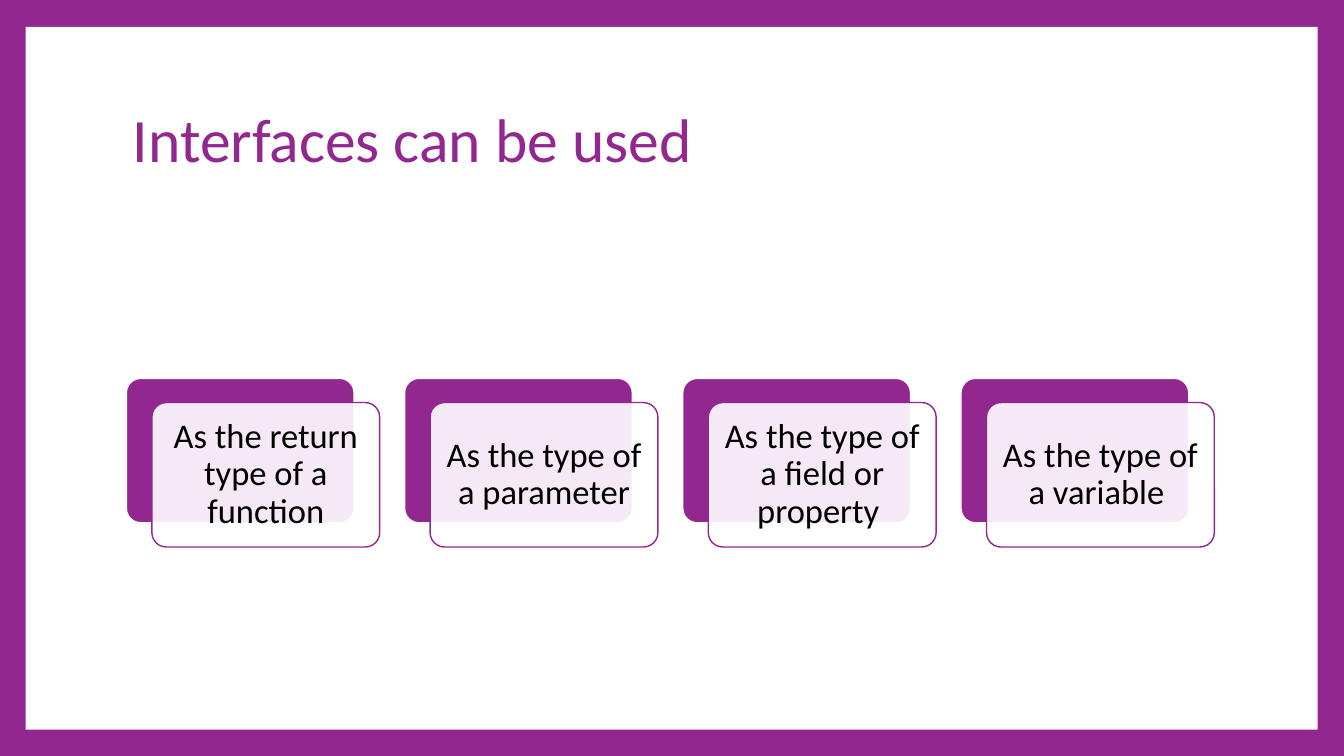
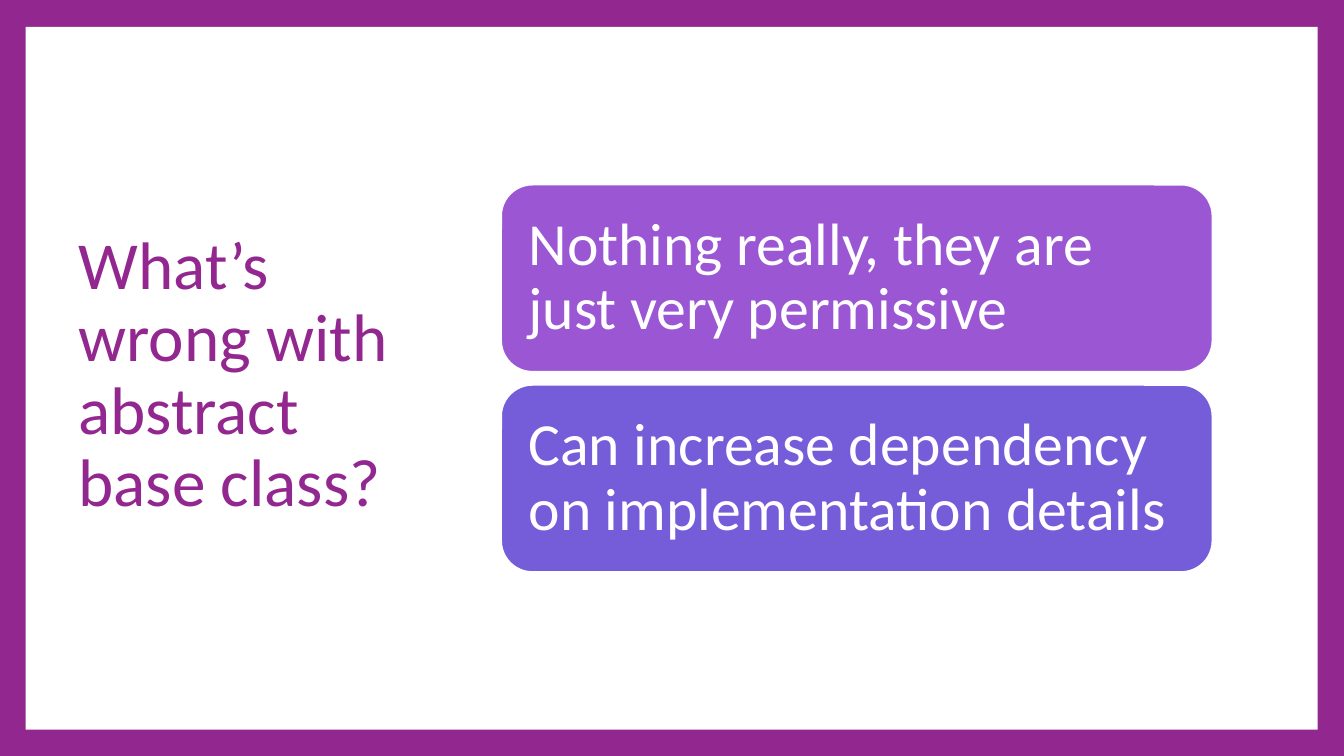
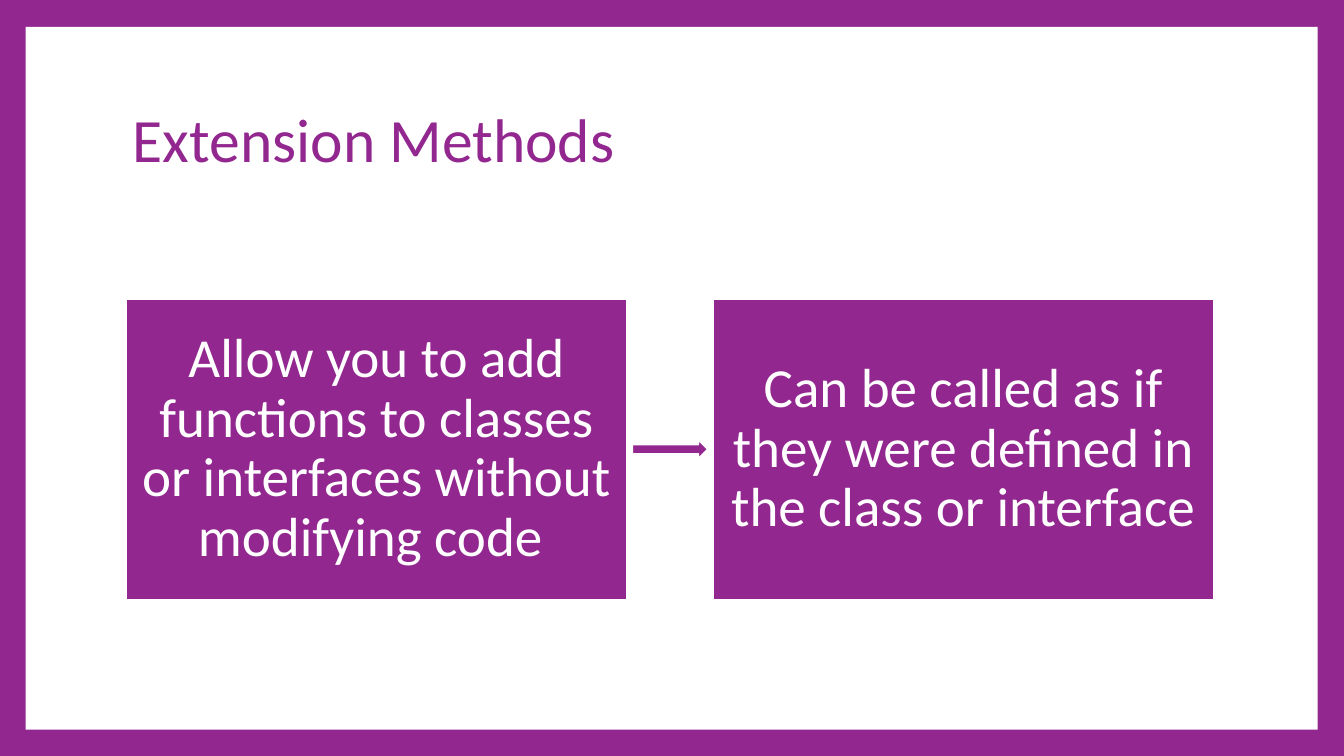
"""Build three slides on interfaces and extension methods."""
from dataclasses import dataclass
from typing import Any

from lxml.etree import SubElement as Sub
from pptx import Presentation
from pptx.dml.color import RGBColor
from pptx.enum.shapes import MSO_SHAPE as Kind
from pptx.enum.text import MSO_ANCHOR as Anchor, PP_ALIGN as Align
from pptx.oxml.ns import qn
from pptx.util import Inches, Pt

PURPLE = RGBColor(0x92, 0x27, 0x8F)
ORCHID = RGBColor(0x9B, 0x57, 0xD3)
VIOLET = RGBColor(0x75, 0x5D, 0xD9)
WHITE = RGBColor(0xFF, 0xFF, 0xFF)
BLACK = RGBColor(0x00, 0x00, 0x00)

FONT = "Calibri"
LEFT = 1.88
SIDES = ("left", "right", "top", "bottom")


@dataclass(frozen=True)
class Box:
    """A place on the slide, in inches."""
    left: float
    top: float
    width: float
    height: float

    def shift(self, right: float = 0, down: float = 0) -> "Box":
        """Return the same box moved by the given steps."""
        return Box(self.left + right, self.top + down, self.width, self.height)

    def spans(self) -> tuple:
        """Return the four lengths that the shape calls need."""
        return tuple(Inches(n) for n in (self.left, self.top, self.width, self.height))


@dataclass(frozen=True)
class Words:
    """A text with its look."""
    text: str
    size: float
    color: RGBColor
    inset: float
    align: Align = Align.LEFT
    after: float = 0


@dataclass(frozen=True)
class Card:
    """A filled shape that may hold words."""
    box: Box
    fill: RGBColor
    kind: Kind = Kind.ROUNDED_RECTANGLE
    line: RGBColor | None = WHITE
    round: float | None = None
    alpha: int = 100
    words: Words | None = None


PANEL = Card(Box(0.38, 0.4, 19.23, 10.46), WHITE, Kind.RECTANGLE, None)
HEAD = Box(LEFT, 1, 16.2, 2.23)


def apply(item: Any, values: dict[str, Any]) -> None:
    """Set each named value on the item."""
    for name, value in values.items():
        setattr(item, name, value)


def write(shape: Any, words: Words) -> None:
    """Put words into a shape."""
    frame = shape.text_frame
    apply(frame, {"word_wrap": True, "vertical_anchor": Anchor.MIDDLE})
    apply(frame, {f"margin_{side}": Inches(words.inset) for side in SIDES})
    para = frame.paragraphs[0]
    apply(para, {"alignment": words.align, "line_spacing": 0.9,
                 "space_after": Pt(words.after)})
    run = para.add_run()
    run.text = words.text
    apply(run.font, {"name": FONT, "size": Pt(words.size)})
    run.font.color.rgb = words.color


def draw(slide: Any, card: Card) -> None:
    """Draw a card with its fill, line and words."""
    shape = slide.shapes.add_shape(card.kind, *card.box.spans())
    shape.shadow.inherit = False
    shape.fill.solid()
    shape.fill.fore_color.rgb = card.fill
    if card.alpha < 100:
        tint = shape.fill._xPr.find(qn("a:solidFill"))[0]
        Sub(tint, qn("a:alpha"), val=str(card.alpha * 1000))
    if card.line is None:
        shape.line.fill.background()
    else:
        shape.line.color.rgb = card.line
        shape.line.width = Pt(1.5)
    if card.round is not None:
        shape.adjustments[0] = card.round
    if card.words:
        write(shape, card.words)


def start(deck: Any, title: str, box: Box = HEAD, size: float = 66) -> Any:
    """Add a slide with the white panel and a title."""
    slide = deck.slides.add_slide(deck.slide_layouts[6])
    draw(slide, PANEL)
    head = slide.shapes.add_textbox(*box.spans())
    write(head, Words(title, size, PURPLE, 0.1))
    return slide


def show_uses(deck: Any) -> None:
    """Show where an interface can be used."""
    slide = start(deck, "Interfaces can be used")
    uses = (
        "As the return type of a function",
        "As the type of a parameter",
        "As the type of a field or property ",
        "As the type of a variable ",
    )
    first = Box(LEFT, 5.63, 3.39, 2.15)
    for i, text in enumerate(uses):
        back = first.shift(right=4.14 * i)
        words = Words(text, 37, BLACK, 0.15, Align.CENTER, 13)
        draw(slide, Card(back, PURPLE, round=0.1))
        draw(slide, Card(back.shift(0.38, 0.36), WHITE, line=PURPLE, round=0.1,
                         alpha=90, words=words))


def show_flaws(deck: Any) -> None:
    """Show what is wrong with a base class."""
    slide = start(deck, "What’s wrong with abstract base class?",
                  Box(1.07, 1, 5.52, 9.2), 72)
    flaws = (
        ("Nothing really, they are just very permissive", ORCHID),
        ("Can increase dependency on implementation details", VIOLET),
    )
    first = Box(7.46, 2.75, 10.58, 2.78)
    for i, (text, fill) in enumerate(flaws):
        words = Words(text, 64, WHITE, 0.27, after=22)
        draw(slide, Card(first.shift(down=2.98 * i), fill, words=words))


def show_methods(deck: Any) -> None:
    """Show what extension methods do."""
    slide = start(deck, "Extension Methods")
    steps = (
        "Allow you to add functions to classes or interfaces without modifying code ",
        "Can be called as if they were defined in the class or interface",
    )
    first = Box(LEFT, 4.45, 7.45, 4.47)
    for i, text in enumerate(steps):
        words = Words(text, 59, WHITE, 0.17, Align.CENTER, 21)
        draw(slide, Card(first.shift(right=8.73 * i), PURPLE, Kind.RECTANGLE, words=words))
    draw(slide, Card(Box(9.41, 6.55, 1.12, 0.27), PURPLE, Kind.RIGHT_ARROW))


def main() -> None:
    """Build and save the deck."""
    deck = Presentation()
    apply(deck, {"slide_width": Inches(20), "slide_height": Inches(11.25)})
    back = deck.slide_master.background.fill
    back.solid()
    back.fore_color.rgb = PURPLE
    for show in (show_uses, show_flaws, show_methods):
        show(deck)
    deck.save("out.pptx")


if __name__ == "__main__":
    main()
